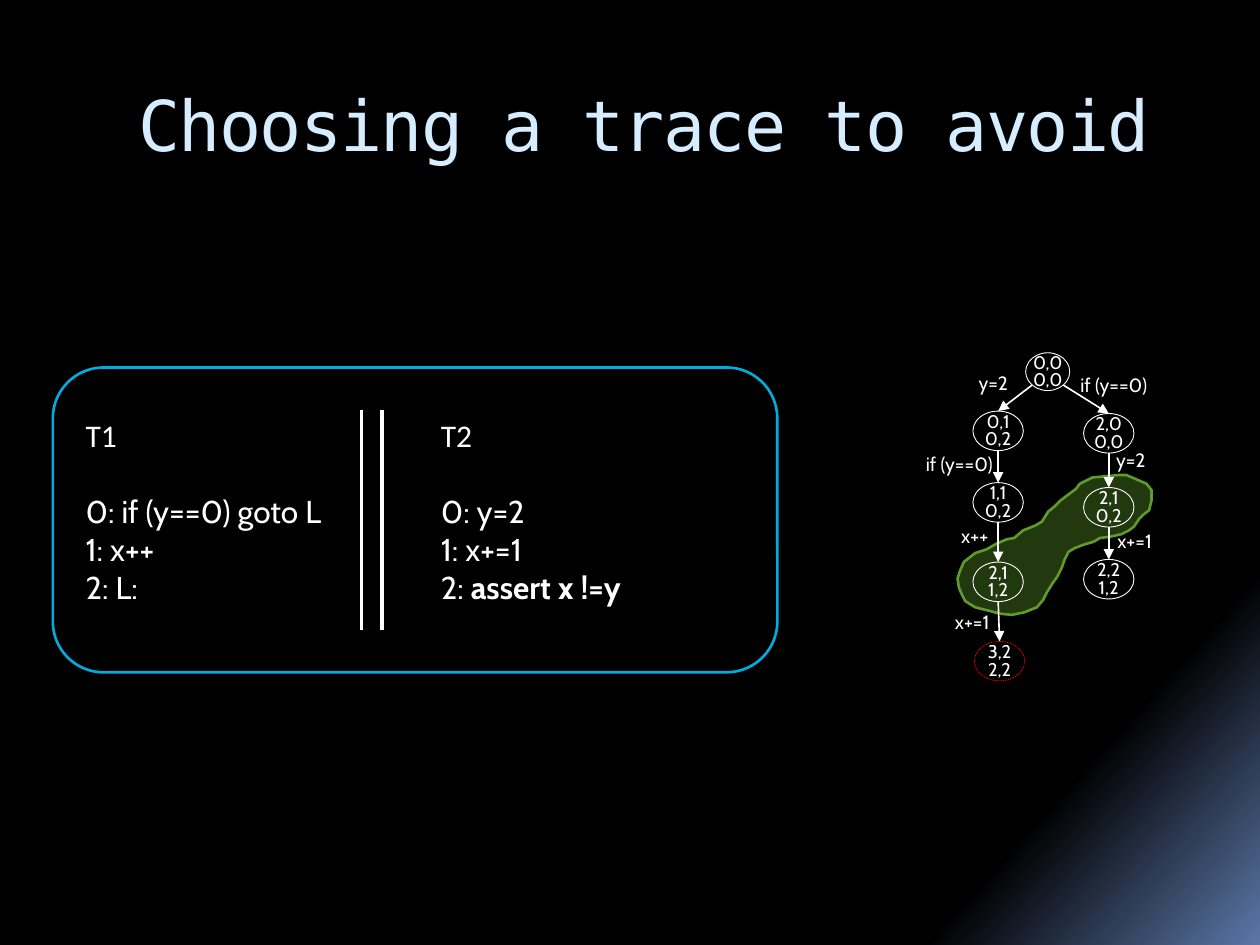
from dataclasses import dataclass
from math import sqrt

from lxml.etree import SubElement
from pptx import Presentation
from pptx.dml.color import RGBColor as RGB
from pptx.enum.dml import MSO_LINE_DASH_STYLE as Dash
from pptx.enum.shapes import MSO_CONNECTOR as Cxn, MSO_SHAPE as Shape
from pptx.enum.text import MSO_ANCHOR as Anchor, MSO_AUTO_SIZE as Fit, PP_ALIGN as Align
from pptx.oxml.ns import qn
from pptx.util import Pt


@dataclass(frozen=True)
class Theme:
    """Colours, fonts and type sizes of the slide."""
    black: RGB = RGB(0x00, 0x00, 0x00)
    glow: RGB = RGB(0x5B, 0x77, 0xA8)
    white: RGB = RGB(0xFF, 0xFF, 0xFF)
    title: RGB = RGB(0xD6, 0xEC, 0xFF)
    panel: RGB = RGB(0x00, 0xAD, 0xDC)
    error: RGB = RGB(0xFF, 0x00, 0x00)
    region: RGB = RGB(0x7F, 0xD1, 0x3B)
    region_edge: RGB = RGB(0x5E, 0x9B, 0x2C)
    title_font: str = "DejaVu Sans Mono"
    head_font: str = "Calibri"
    font: str = "Cabin"
    title_size: float = 40
    code_size: float = 18
    label_size: float = 11
    state_size: float = 10.5


THEME = Theme()

# Centre, width, height and text of each state, in points
STATES = {
    "root": (598.7, 212.4, 25.2, 21.6, "0,0\v0,0"),
    "l1": (570.4, 246.2, 28.8, 22.6, "0,1\v0,2"),
    "r1": (633.6, 247.6, 28.8, 22.6, "2,0\v0,0"),
    "l2": (570.4, 287.1, 28.8, 22.6, "1,1\v0,2"),
    "r2": (633.6, 289.9, 28.8, 22.6, "2,1\v0,2"),
    "l3": (570.4, 332.5, 28.8, 22.6, "2,1\v1,2"),
    "r3": (633.6, 331, 28.8, 22.6, "2,2\v1,2"),
    "l4": (571.2, 377.8, 28.8, 22.6, "3,2\v2,2"),
}

# Start, end, side of the start it leaves from, label and label box
EDGES = [
    ("root", "l1", -1, "y=2", (552.2, 208.8, 34.6)),
    ("root", "r1", 1, "if (y==0)", (610.2, 209.5, 58.3)),
    ("l1", "l2", 0, "if (y==0)", (522, 254.9, 58.3)),
    ("l2", "l3", 0, "x++", (542.2, 295.9, 33.8)),
    ("l3", "l4", 0, "x+=1", (538.6, 344.9, 47.5)),
    ("r1", "r2", 0, "y=2", (630.7, 252.7, 33.1)),
    ("r2", "r3", 0, "x+=1", (631.4, 298.8, 41)),
]

REGION_UNIT = Pt(0.72)
REGION = [
    (765, 446), (774, 439), (783, 436), (790, 432), (799, 428), (805, 427),
    (812, 421), (822, 417), (827, 414), (832, 406), (837, 402), (842, 397),
    (846, 394), (850, 391), (854, 388), (857, 384), (861, 382), (867, 379),
    (888, 377), (894, 377), (901, 380), (910, 384), (914, 389), (914, 397),
    (912, 405), (908, 408), (904, 412), (900, 418), (896, 421), (890, 424),
    (881, 426), (873, 427), (868, 430), (861, 432), (853, 435), (848, 438),
    (845, 444), (843, 450), (839, 458), (836, 462), (831, 470), (828, 476),
    (823, 482), (813, 486), (803, 488), (793, 487), (786, 485), (774, 482),
    (766, 477), (763, 471), (761, 466), (760, 459), (762, 453),
]

THREADS = [
    (41.8, 149.8, "T1", [("0: if (y==0) goto L", ""), ("1: x++", ""), ("2: L:", "")]),
    (244.8, 169.2, "T2", [("0: y=2", ""), ("1: x+=1", ""), ("2: ", "assert x !=y")]),
]


def set_font(p, size, color=THEME.white, name=THEME.font):
    """Set the font shared by all runs of a paragraph."""
    p.font.size, p.font.name = Pt(size), name
    p.font.color.rgb = color


def set_background(slide):
    """Fade the background from black to blue in the lower right corner."""
    fill = slide.background.fill
    fill.gradient()
    fill.gradient_angle = 318
    stops = zip(fill.gradient_stops, (0.84, 1), (THEME.black, THEME.glow))
    for stop, position, color in stops:
        stop.position = position
        stop.color.rgb = color


def set_title(slide, text):
    """Place and format the title placeholder."""
    sp = slide.shapes.title
    sp.left, sp.top, sp.width, sp.height = Pt(72), Pt(40.3), Pt(612), Pt(72)
    tf = sp.text_frame
    tf.word_wrap, tf.auto_size, tf.vertical_anchor = True, Fit.NONE, Anchor.TOP
    tf.margin_top = Pt(6.5)
    p = tf.paragraphs[0]
    p.alignment = Align.LEFT
    set_font(p, THEME.title_size, THEME.title, THEME.title_font)
    r = p.add_run()
    r.text = text
    r._r.get_or_add_rPr().set("spc", "-100")


def add_outline(slide, kind, x, y, w, h, color, width):
    """Add an unfilled preset shape."""
    sp = slide.shapes.add_shape(kind, Pt(x), Pt(y), Pt(w), Pt(h))
    sp.shadow.inherit = False
    sp.fill.background()
    sp.line.color.rgb, sp.line.width = color, Pt(width)
    return sp


def add_line(slide, start, end, width, arrow=False):
    """Add a white straight line, with an arrowhead at its end if asked."""
    points = [Pt(v) for v in (*start, *end)]
    line = slide.shapes.add_connector(Cxn.STRAIGHT, *points)
    line.line.color.rgb, line.line.width = THEME.white, Pt(width)
    if arrow:
        SubElement(line.line._get_or_add_ln(), qn("a:tailEnd"), type="triangle")
    SubElement(line._element.spPr, qn("a:effectLst"))


def add_text_box(slide, x, y, w, h):
    """Add a wrapping text box and return its text frame."""
    tf = slide.shapes.add_textbox(Pt(x), Pt(y), Pt(w), Pt(h)).text_frame
    tf.word_wrap = True
    return tf


def add_region(slide):
    """Add the translucent region around the trace to avoid."""
    builder = slide.shapes.build_freeform(*REGION[0], scale=REGION_UNIT)
    builder.add_line_segments(REGION[1:], close=True)
    sp = builder.convert_to_shape()
    sp.shadow.inherit = False
    sp.fill.solid()
    sp.fill.fore_color.rgb = THEME.region
    color = sp._element.spPr.find(qn("a:solidFill"))[0]
    SubElement(color, qn("a:alpha"), val="27000")
    sp.line.color.rgb, sp.line.width = THEME.region_edge, Pt(1.5)


def add_state(slide, name):
    """Add one state of the graph; the last left one is the error."""
    cx, cy, w, h, text = STATES[name]
    is_error = name == "l4"
    color = THEME.error if is_error else THEME.white
    sp = add_outline(slide, Shape.OVAL, cx - w / 2, cy - h / 2, w, h, color, 0.5)
    if is_error:
        sp.line.dash_style = Dash.ROUND_DOT
    tf = sp.text_frame
    tf.margin_left = tf.margin_right = tf.margin_bottom = 0
    tf.margin_top = Pt(1.4)
    tf.vertical_anchor = Anchor.MIDDLE
    p = tf.paragraphs[0]
    p.text, p.alignment, p.line_spacing = text, Align.CENTER, Pt(10)
    set_font(p, THEME.state_size)


def add_edge(slide, start, end, side, label, box):
    """Add a labelled arrow from one state to the top of the next."""
    x1, y1, w1, h1, _ = STATES[start]
    x2, y2, _, h2, _ = STATES[end]
    drop = h1 / 2 / (sqrt(2) if side else 1)
    leave = (x1 + side * w1 / 2 / sqrt(2), y1 + drop)
    add_line(slide, leave, (x2, y2 - h2 / 2), 0.94, arrow=True)
    p = add_text_box(slide, *box, 20.9).paragraphs[0]
    p.text = label
    set_font(p, THEME.label_size)


def add_thread(slide, x, width, heading, code):
    """Add the code of one thread; each line is plain text, then bold text."""
    tf = add_text_box(slide, x, 234, width, 116.6)
    p = tf.paragraphs[0]
    p.text = heading
    set_font(p, THEME.code_size, name=THEME.head_font)
    for i, (plain, bold) in enumerate(code):
        p = tf.add_paragraph()
        set_font(p, THEME.code_size)
        if i == 0:
            p.space_before = Pt(22)
        p.add_run().text = plain
        if bold:
            r = p.add_run()
            r.text, r.font.bold = bold, True


def main():
    """Build the slide and save it."""
    prs = Presentation()
    prs.slide_width, prs.slide_height = Pt(720), Pt(540)
    slide = prs.slides.add_slide(prs.slide_layouts[5])
    set_background(slide)
    set_title(slide, "Choosing a trace to avoid")
    add_region(slide)
    for name in STATES:
        add_state(slide, name)
    for edge in EDGES:
        add_edge(slide, *edge)
    for thread in THREADS:
        add_thread(slide, *thread)
    for x in (206.6, 218.2):
        add_line(slide, (x, 234), (x, 360), 2)
    add_outline(slide, Shape.ROUNDED_RECTANGLE, 30.2, 210, 414, 174.2, THEME.panel, 1.5)
    prs.save("out.pptx")


main()
